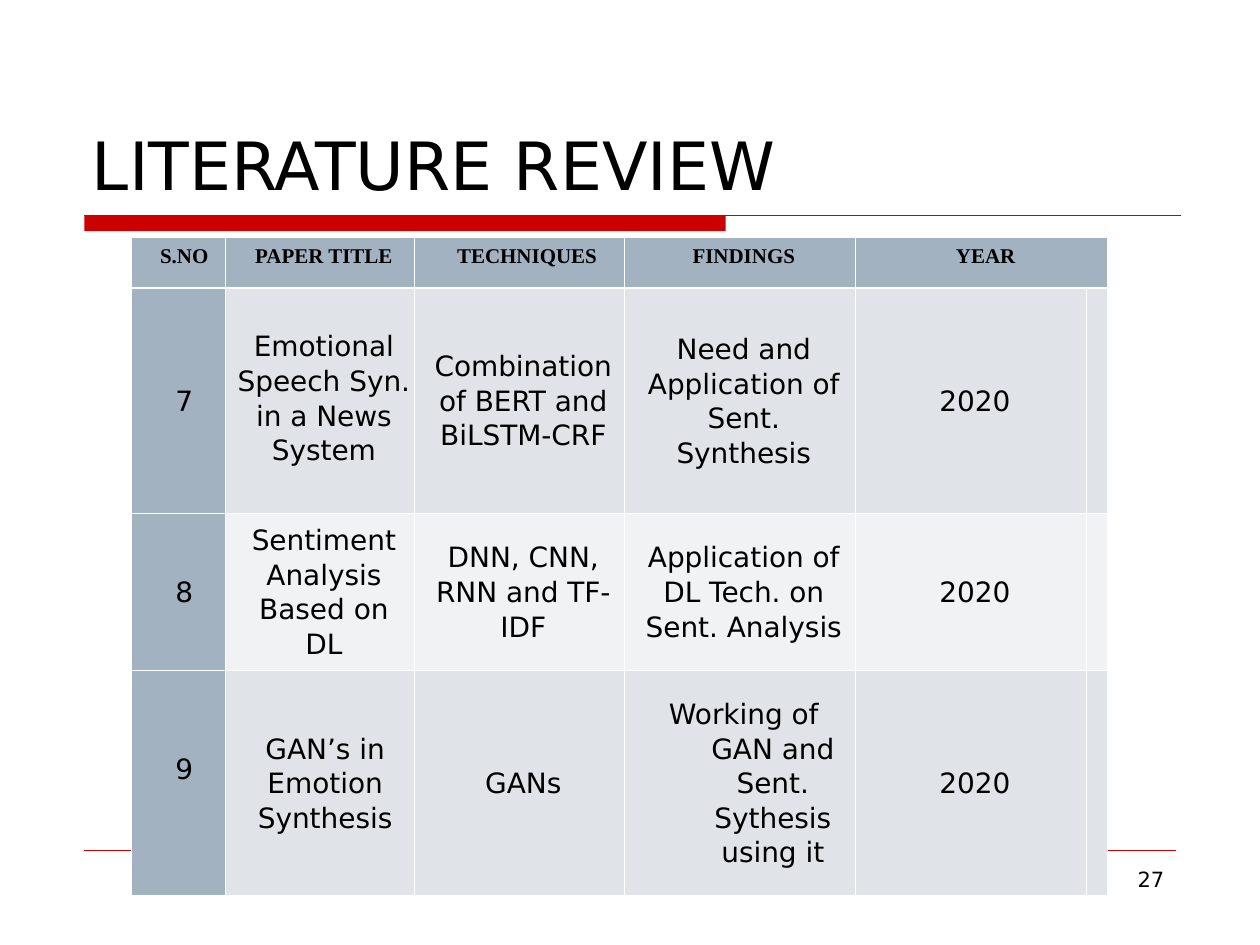
from pptx import Presentation
from pptx.dml.color import RGBColor
from pptx.enum.shapes import MSO_CONNECTOR, MSO_SHAPE
from pptx.enum.text import MSO_ANCHOR as ANCHOR, MSO_AUTO_SIZE, PP_ALIGN as ALIGN
from pptx.oxml.ns import qn
from pptx.util import Cm, Pt
from lxml.etree import SubElement

BLACK = RGBColor(0x00, 0x00, 0x00)
WHITE = RGBColor(0xFF, 0xFF, 0xFF)
RED = RGBColor(0xCC, 0x00, 0x00)
STEEL = RGBColor(0xA3, 0xB2, 0xC1)
BAND_DARK = RGBColor(0xE0, 0xE4, 0xE9)
BAND_LIGHT = RGBColor(0xF0, 0xF2, 0xF4)
BODY_FONT = "DejaVu Sans"
HEAD_FONT = "Times New Roman"

COL_WIDTHS = [1.9, 3.81, 4.23, 4.66, 4.66, 0.21]
ROW_HEIGHTS = [1.02, 4.55, 3.07, 4.55]
ROWS = [
    ["S.NO", "PAPER TITLE", "TECHNIQUES", "FINDINGS", "YEAR", ""],
    ["7", "Emotional Speech Syn. in a News System",
     "Combination of BERT and BiLSTM-CRF",
     "Need and Application of Sent. Synthesis", "2020", ""],
    ["8", "Sentiment Analysis Based on DL", "DNN, CNN, RNN and TF-IDF",
     "Application of DL Tech. on Sent. Analysis", "2020", ""],
    ["9", "GAN’s in Emotion Synthesis", "GANs",
     "Working of GAN and Sent. Sythesis using it", "2020", ""],
]
# Cells set from the top, with their top margin in cm
TOP_MARGINS = {(1, 1): 0.83, (3, 0): 1.65}
# Left margin and first-line indent in cm
INDENTS = {(0, 0): (0.08, 0), (0, 2): (0.15, 0), (1, 0): (0.08, 0),
           (2, 0): (0.08, 0), (3, 0): (0.08, 0), (3, 1): (0.05, 0),
           (3, 3): (1.17, -1.17)}


class SlideBuilder:
    def __init__(self, slide):
        self.slide = slide

    def style(self, p, size, font=BODY_FONT, bold=False, align=ALIGN.LEFT):
        p.alignment = align
        p.font.size, p.font.name, p.font.bold = Pt(size), font, bold
        p.font.color.rgb = BLACK

    def title(self, text, left, top, width, height):
        sp = self.slide.shapes.title
        sp.left, sp.top, sp.width, sp.height = Cm(left), Cm(top), Cm(width), Cm(height)
        tf = sp.text_frame
        tf.text = text
        tf.auto_size = MSO_AUTO_SIZE.NONE
        tf.vertical_anchor = ANCHOR.BOTTOM
        self.style(tf.paragraphs[0], 38)

    def bar(self, left, top, width, height):
        sp = self.slide.shapes.add_shape(
            MSO_SHAPE.RECTANGLE, Cm(left), Cm(top), Cm(width), Cm(height))
        sp.shadow.inherit = False
        sp.fill.solid()
        sp.fill.fore_color.rgb = RED
        sp.line.fill.background()

    def rule(self, left, right, y, weight):
        line = self.slide.shapes.add_connector(
            MSO_CONNECTOR.STRAIGHT, Cm(left), Cm(y), Cm(right), Cm(y))
        line.line.color.rgb = RED
        line.line.width = Pt(weight)
        SubElement(line._element.spPr, qn("a:effectLst"))

    def text(self, text, left, top, width, height, size, align):
        sp = self.slide.shapes.add_textbox(Cm(left), Cm(top), Cm(width), Cm(height))
        tf = sp.text_frame
        tf.word_wrap = True
        tf.text = text
        self.style(tf.paragraphs[0], size, align=align)

    def borders(self, cell, **weights):
        tc_pr = cell._tc.get_or_add_tcPr()
        for i, side in enumerate("LRTB"):
            ln = SubElement(tc_pr, qn(f"a:ln{side}"), w=str(Pt(weights.get(side, 0.45))))
            fill = SubElement(ln, qn("a:solidFill"))
            SubElement(fill, qn("a:srgbClr"), val=str(WHITE))
            tc_pr.insert(i, ln)

    def cell(self, cell, row, col, text):
        # Fill and borders; the rule under the header is heavier
        cell.fill.solid()
        band = BAND_DARK if row % 2 else BAND_LIGHT
        cell.fill.fore_color.rgb = STEEL if row == 0 or col == 0 else band
        self.borders(cell, **{0: {"B": 1.47}, 1: {"T": 1.47}}.get(row, {}))

        # Text position
        top = TOP_MARGINS.get((row, col))
        cell.vertical_anchor = ANCHOR.TOP if row == 0 or top else ANCHOR.MIDDLE
        cell.margin_left, cell.margin_right = Cm(0.25), Cm(0.08)
        cell.margin_top, cell.margin_bottom = Cm(top or 0.13), Cm(0.13)

        # Text
        cell.text = text
        p = cell.text_frame.paragraphs[0]
        p.line_spacing = 1.07
        if row == 0:
            self.style(p, 12, HEAD_FONT, True, ALIGN.CENTER)
        else:
            self.style(p, 16, align=ALIGN.CENTER)
        if (row, col) in INDENTS:
            margin, indent = INDENTS[row, col]
            p_pr = p._p.get_or_add_pPr()
            p_pr.set("marL", str(Cm(margin)))
            p_pr.set("indent", str(Cm(indent)))

    def table(self, rows, left, top):
        table = self.slide.shapes.add_table(
            len(rows), len(COL_WIDTHS), Cm(left), Cm(top),
            Cm(sum(COL_WIDTHS)), Cm(sum(ROW_HEIGHTS))).table
        table.first_row = table.horz_banding = False
        for column, width in zip(table.columns, COL_WIDTHS):
            column.width = Cm(width)
        for row, height in zip(table.rows, ROW_HEIGHTS):
            row.height = Cm(height)
        for r, values in enumerate(rows):
            for c, value in enumerate(values):
                self.cell(table.cell(r, c), r, c, value)
        table.cell(0, 4).merge(table.cell(0, 5))


def main():
    prs = Presentation()
    prs.slide_width, prs.slide_height = Cm(25.4), Cm(19.05)
    s = SlideBuilder(prs.slides.add_slide(prs.slide_layouts[5]))

    # Title with its red bar and rule
    s.title("LITERATURE REVIEW", 1.6, 0.84, 22.23, 3.39)
    s.bar(1.7, 4.34, 12.93, 0.32)
    s.rule(1.7, 23.8, 4.34, 0.75)

    # Footer rule and page number
    s.rule(1.7, 23.7, 17.15, 0.25)
    s.text("27", 18.21, 17.35, 5.51, 1.32, 12, ALIGN.RIGHT)

    # Reviewed papers
    s.table(ROWS, 2.64, 4.78)

    prs.save("out.pptx")


if __name__ == "__main__":
    main()
